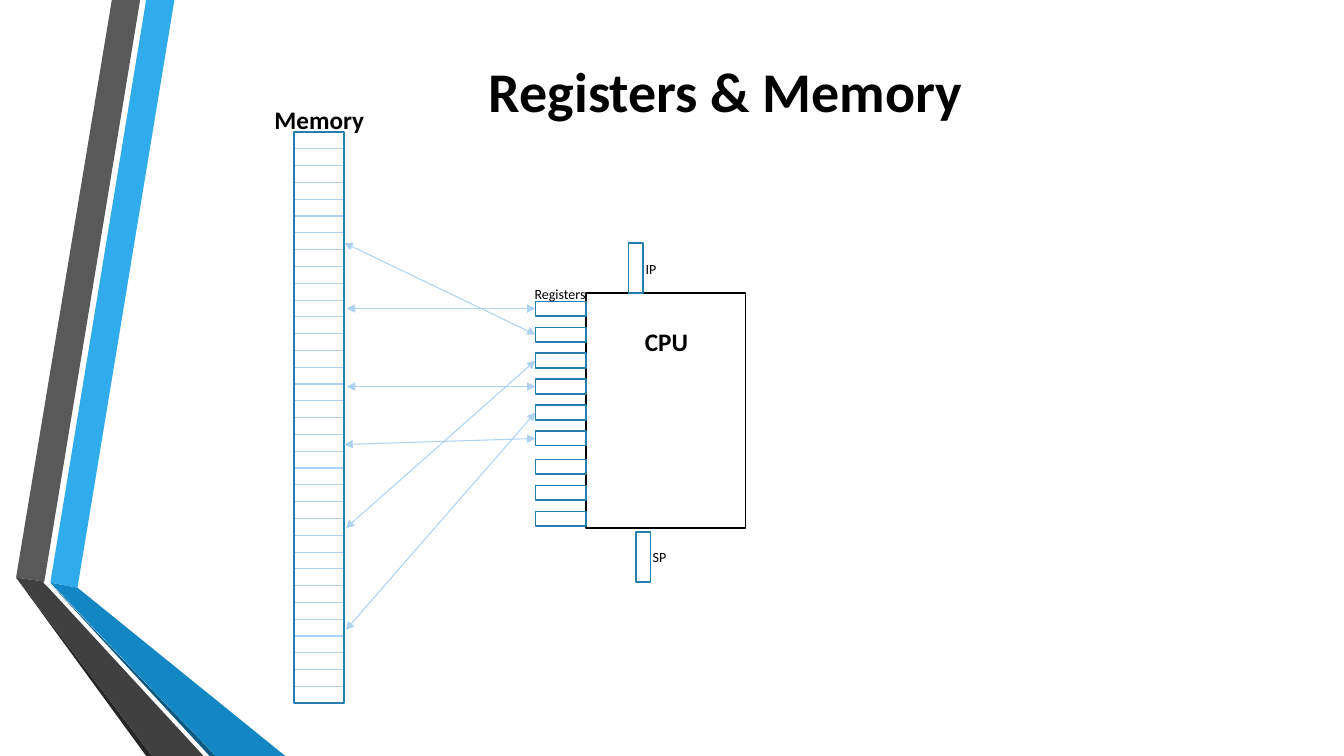
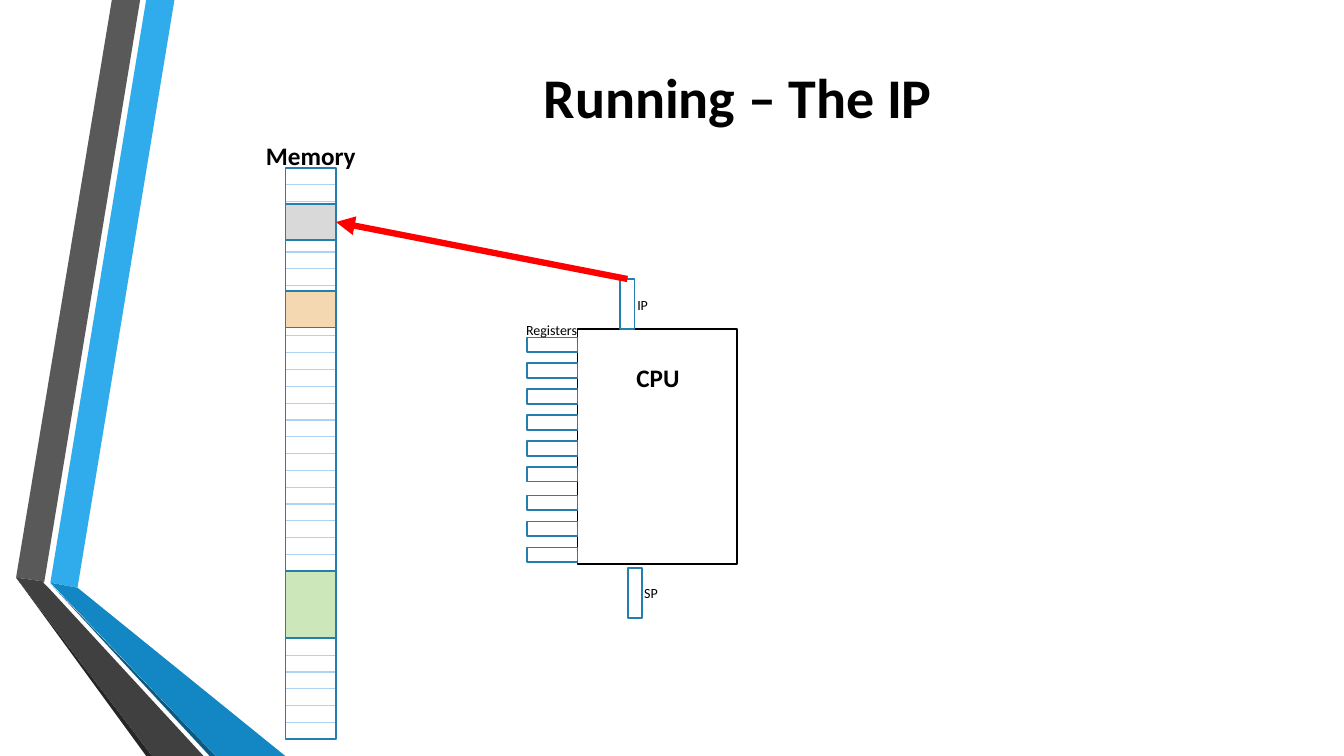
import dataclasses

import lxml.etree
import pptx
import pptx.dml.color
import pptx.enum.shapes
import pptx.enum.text
import pptx.oxml.ns
import pptx.util

Pt = pptx.util.Pt
RGB = pptx.dml.color.RGBColor.from_string
qn = pptx.oxml.ns.qn


@dataclasses.dataclass(frozen=True)
class Theme:
    font: str = "Calibri"
    title_size: float = 40
    heading_size: float = 18
    caption_size: float = 10
    ink: str = "000000"
    outline: str = "247FAF"
    pale: str = "AED2F4"
    pointer: str = "FF0000"
    program: str = "D9D9D9"
    data: str = "F3D8B2"
    stack: str = "CCE7B9"
    box_line: float = 1.25
    thin_line: float = 0.75
    thick_line: float = 4.5


theme = Theme()


def write(frame, text, size, bold=False, anchor=pptx.enum.text.MSO_ANCHOR.TOP,
          fit=pptx.enum.text.MSO_AUTO_SIZE.SHAPE_TO_FIT_TEXT):
    frame.word_wrap = True
    frame.auto_size = fit
    frame.vertical_anchor = anchor
    paragraph = frame.paragraphs[0]
    paragraph.alignment = pptx.enum.text.PP_ALIGN.CENTER
    run = paragraph.add_run()
    run.text = text
    run.font.name = theme.font
    run.font.size = Pt(size)
    run.font.bold = bold
    run.font.color.rgb = RGB(theme.ink)


def draw_line(shapes, start, end, color=theme.pale, width=theme.thin_line, arrows=()):
    line = shapes.add_connector(
        pptx.enum.shapes.MSO_CONNECTOR.STRAIGHT, *(Pt(value) for value in (*start, *end)))
    line.line.color.rgb = RGB(color)
    line.line.width = Pt(width)
    properties = line.element.spPr
    for arrow in arrows:
        lxml.etree.SubElement(properties.get_or_add_ln(), qn(f"a:{arrow}")).set("type", "triangle")
    lxml.etree.SubElement(properties, qn("a:effectLst"))
    return line


ribbons = [
    ("30ACEC", [(36, 416.2), (55.4, 419.8), (124.6, 0), (104.4, 0)]),
    ("595959", [(100.1, 0), (79.9, 0), (11.5, 412.6), (31.7, 415.4)]),
    ("262626", [(11.5, 412.6), (104.4, 540), (108.7, 540)]),
    ("0C5A82", [(36, 416.9), (149.8, 540), (154.1, 540)]),
    ("1287C3", [(36, 416.2), (154.1, 540), (203.8, 540), (55.4, 419.8)]),
    ("404040", [(145.4, 540), (34.6, 419.8), (31, 416.2), (31.7, 415.4),
                (11.5, 412.6), (108.7, 540)]),
]

cell_width, cell_height, cell_count = 36, 12, 34
memory_box = (0, 0, cell_width, cell_height * cell_count)
cpu_box = (208.5, 115, 114, 168)
register_thickness, register_pitch, group_gap = 10.3, 18.55, 1.6
register_boxes = [
    (172.5, 121 + index * register_pitch + (group_gap if index >= 6 else 0),
     cell_width, register_thickness)
    for index in range(9)
]
sp_box = (244.4, 285.5, register_thickness, 36)
ip_box = (239, 79.3, register_thickness, 36)

labels = [
    ("CPU", 218, 135.6, theme.heading_size, True),
    ("Memory", -30, -23, theme.heading_size, True),
    ("Registers", 142, 106, theme.caption_size, False),
    ("IP", 207, 88, theme.caption_size, False),
    ("SP", 213, 294, theme.caption_size, False),
]

pages = [
    dict(title="Registers & Memory", title_at=(123.8, -5), origin=(210, 94.3),
         transfers=[(0, 37.7, 126.15), (1, 36, 79.2), (2, 37, 283),
                    (3, 37.7, 181.8), (5, 36, 223.2), (4, 37, 355.7)],
         segments=[]),
    dict(title="Running – The IP", title_at=(132.5, -0.7), origin=(204, 120),
         transfers=[],
         segments=[(theme.program, 25.6, 26), (theme.data, 88, 26), (theme.stack, 288, 48)]),
]

deck = pptx.Presentation()
deck.slide_width, deck.slide_height = Pt(960), Pt(540)
layout = deck.slide_layouts[5]

for page_index, page in enumerate(pages):
    slide = deck.slides.add_slide(layout)
    shapes = slide.shapes
    left, top = page["origin"]

    if page_index == 0:
        for index, (color, corners) in enumerate(ribbons):
            points = [(Pt(x), Pt(y)) for x, y in corners]
            builder = shapes.build_freeform(*points[0], scale=1.0)
            builder.add_line_segments(points[1:], close=True)
            ribbon = builder.convert_to_shape()
            ribbon.shadow.inherit = False
            ribbon.fill.solid()
            ribbon.fill.fore_color.rgb = RGB(color)
            ribbon.line.fill.background()
            ribbon.element.xpath(".//p:cNvPr")[0].set("id", str(20 + index))
            layout.shapes.element.insert(2 + index, ribbon.element)

    title = shapes.title
    title.left, title.top = (Pt(value) for value in page["title_at"])
    title.width, title.height = Pt(789), Pt(138.2)
    write(title.text_frame, page["title"], theme.title_size, bold=True,
          anchor=pptx.enum.text.MSO_ANCHOR.MIDDLE, fit=pptx.enum.text.MSO_AUTO_SIZE.NONE)

    for row in range(1, cell_count):
        y = top + row * cell_height
        draw_line(shapes, (left, y), (left + cell_width, y))

    boxes = [(memory_box, theme.outline, None), (cpu_box, theme.ink, None)]
    boxes += [(box, theme.outline, None) for box in (*register_boxes, sp_box, ip_box)]
    boxes += [((0, y, cell_width, height), theme.outline, fill)
              for fill, y, height in page["segments"]]
    drawn = []
    for (x, y, width, height), outline, fill in boxes:
        box = shapes.add_shape(pptx.enum.shapes.MSO_SHAPE.RECTANGLE,
                               Pt(left + x), Pt(top + y), Pt(width), Pt(height))
        box.shadow.inherit = False
        box.line.color.rgb = RGB(outline)
        box.line.width = Pt(theme.box_line)
        if fill:
            box.fill.solid()
            box.fill.fore_color.rgb = RGB(fill)
        else:
            box.fill.background()
        drawn.append(box)
    registers = drawn[2:11]
    instruction_pointer = drawn[12]
    segments = drawn[13:]

    for register, x, y in page["transfers"]:
        end = (left + x, top + y)
        transfer = draw_line(shapes, end, end, arrows=("headEnd", "tailEnd"))
        transfer.begin_connect(registers[register], 1)

    if segments:
        pointer = draw_line(shapes, (left, top), (left, top), color=theme.pointer,
                            width=theme.thick_line, arrows=("tailEnd",))
        pointer.begin_connect(instruction_pointer, 0)
        pointer.end_connect(segments[0], 3)

    for text, x, y, size, bold in labels:
        label = shapes.add_textbox(Pt(left + x), Pt(top + y), Pt(96), Pt(size * 1.2 + 7.2))
        write(label.text_frame, text, size, bold=bold)

deck.save("out.pptx")
